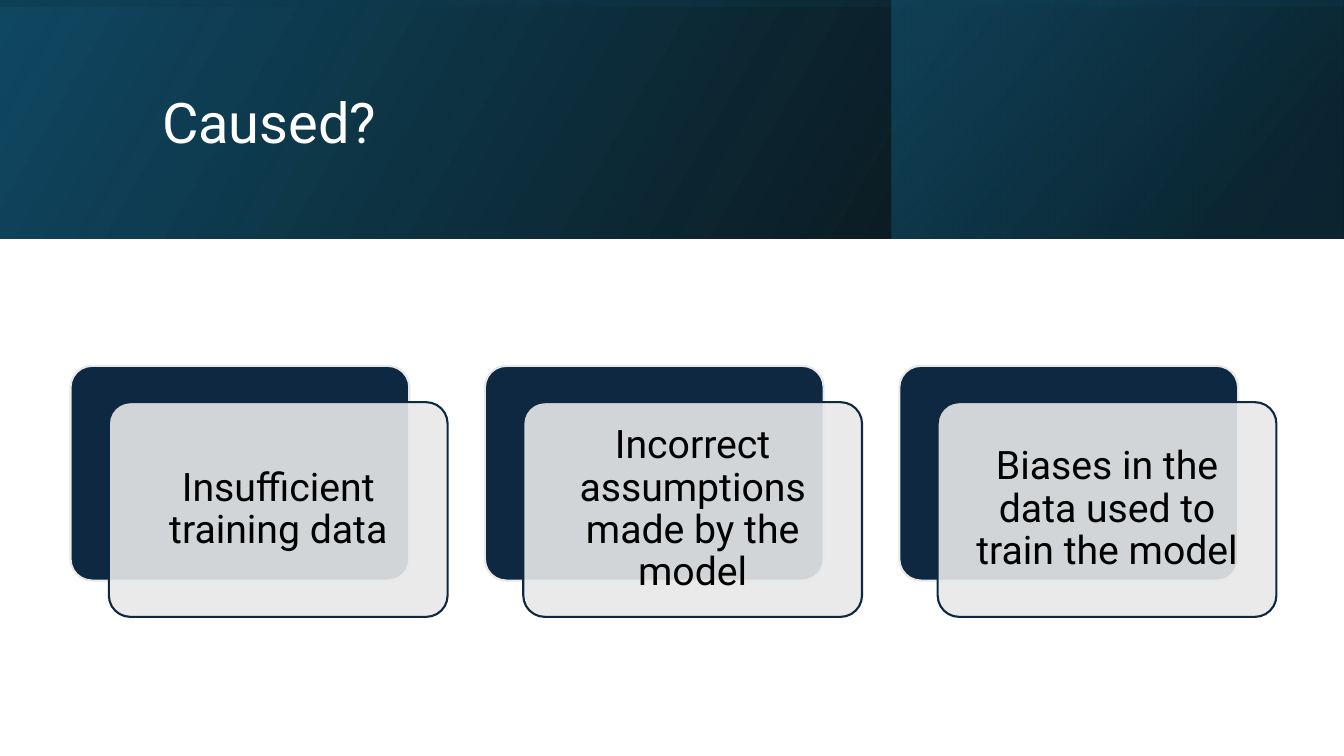
from pptx import Presentation
from pptx.dml.color import RGBColor
from pptx.enum.shapes import MSO_SHAPE
from pptx.enum.text import MSO_ANCHOR, PP_ALIGN
from pptx.oxml import parse_xml
from pptx.oxml.ns import nsdecls, qn
from pptx.util import Inches, Pt

RECTANGLE = MSO_SHAPE.RECTANGLE
ROUNDED = MSO_SHAPE.ROUNDED_RECTANGLE
MIDDLE = MSO_ANCHOR.MIDDLE
LEFT, CENTER = PP_ALIGN.LEFT, PP_ALIGN.CENTER

NAVY, GREY = "0E2841", "E8E8E8"
CARD_WIDTH, CARD_HEIGHT = 3.36, 2.13
CARD_PITCH = 4.11

prs = Presentation()
prs.slide_width, prs.slide_height = Inches(13.33), Inches(7.5)
slide = prs.slides.add_slide(prs.slide_layouts[6])


def add_text(text, left, top, width, height, *, size, color, align=LEFT, inset_x=0.1, inset_y=0.05):
    frame = slide.shapes.add_textbox(Inches(left), Inches(top), Inches(width), Inches(height)).text_frame
    frame.word_wrap = True
    frame.vertical_anchor = MIDDLE
    frame.margin_left = frame.margin_right = Inches(inset_x)
    frame.margin_top = frame.margin_bottom = Inches(inset_y)
    paragraph = frame.paragraphs[0]
    paragraph.alignment = align
    paragraph.line_spacing = 0.9
    run = paragraph.add_run()
    run.text = text
    run.font.name = "Roboto"
    run.font.size = Pt(size)
    run.font.color.rgb = RGBColor.from_string(color)


def add_panel(kind, left, top, width, height, fill=None, line=None):
    panel = slide.shapes.add_shape(kind, Inches(left), Inches(top), Inches(width), Inches(height))
    panel.shadow.inherit = False
    if fill:
        panel.fill.solid()
        panel.fill.fore_color.rgb = RGBColor.from_string(fill)
    if line:
        panel.line.color.rgb = RGBColor.from_string(line)
        panel.line.width = Pt(1.5)
    else:
        panel.line.fill.background()
    return panel


# Header band: three mirrored, translucent gradients; stops are (position %, color, opacity %)
header_layers = [
    ((0, 0, 13.33, 2.37), 0, 330, [(0, "000000", 96), (100, "104862", 100)]),
    ((8.84, 0, 4.48, 2.37), 0, 320, [(19, "0B3041", 68), (100, "156082", 48)]),
    ((5.48, -5.48, 2.37, 13.33), 270, 350, [(23, "104862", 16), (99, "000000", 45)]),
]
for box, rotation, angle, stops in header_layers:
    layer = add_panel(RECTANGLE, *box)
    layer.rotation = rotation
    properties = layer._element.spPr
    properties.find(qn("a:xfrm")).set("flipH", "1")
    stop_xml = "".join(
        f'<a:gs pos="{position * 1000}"><a:srgbClr val="{color}">'
        f'<a:alpha val="{opacity * 1000}"/></a:srgbClr></a:gs>'
        for position, color, opacity in stops
    )
    properties.find(qn("a:prstGeom")).addnext(parse_xml(
        f'<a:gradFill {nsdecls("a")} rotWithShape="1"><a:gsLst>{stop_xml}</a:gsLst>'
        f'<a:lin ang="{angle * 60000}" scaled="0"/></a:gradFill>'
    ))

add_text("Caused?", 1.51, 0.38, 10.63, 1.72, size=40, color="FFFFFF")

# Cause cards: navy backing with an offset translucent front
causes = [
    "Insufficient training data",
    "Incorrect assumptions made by the model",
    "Biases in the data used to train the model",
]
for index, cause in enumerate(causes):
    left = 0.7 + index * CARD_PITCH
    backing = add_panel(ROUNDED, left, 3.63, CARD_WIDTH, CARD_HEIGHT, NAVY, GREY)
    front = add_panel(ROUNDED, left + 0.38, 3.99, CARD_WIDTH, CARD_HEIGHT, GREY, NAVY)
    backing.adjustments[0] = front.adjustments[0] = 0.1
    front_color = front._element.spPr.find(qn("a:solidFill")).find(qn("a:srgbClr"))
    front_color.append(parse_xml(f'<a:alpha {nsdecls("a")} val="90000"/>'))
    add_text(cause, left + 0.44, 4.05, 3.24, 2.01, size=28, color="000000",
             align=CENTER, inset_x=0.12, inset_y=0.12)

prs.save("out.pptx")
